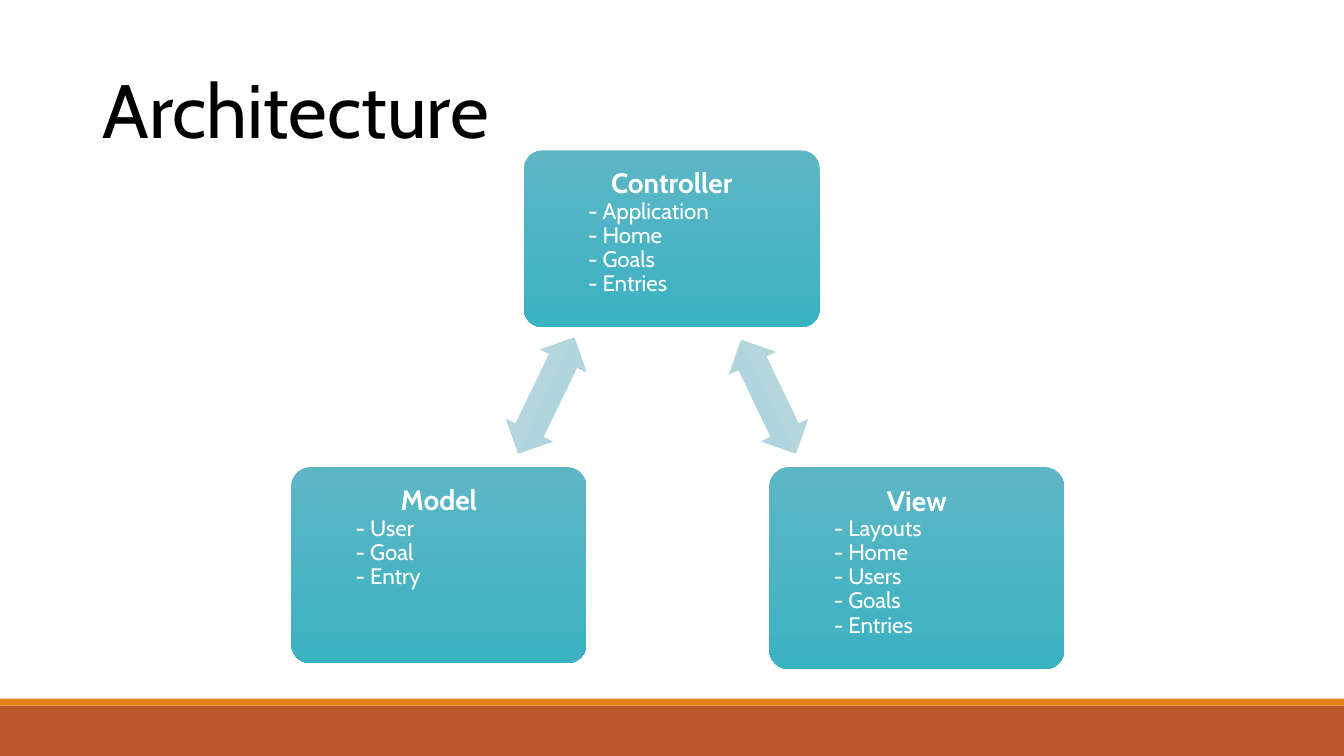
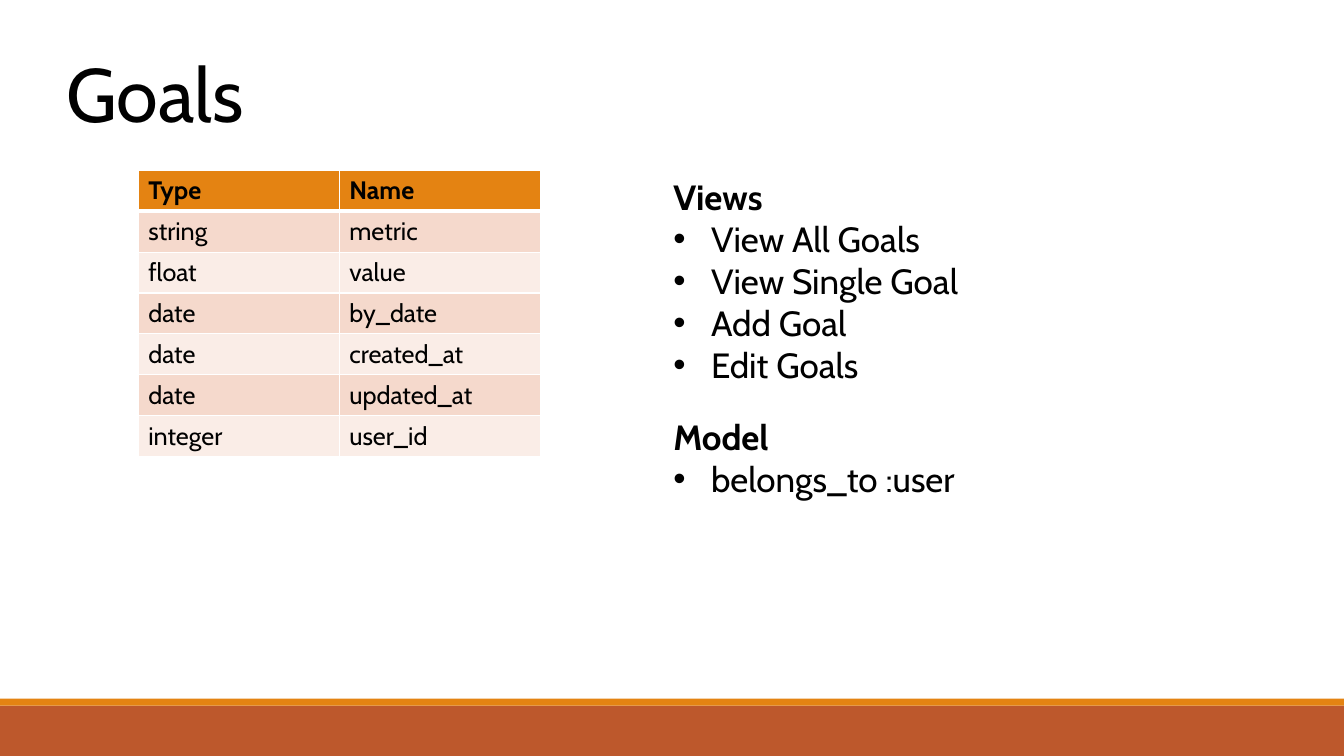
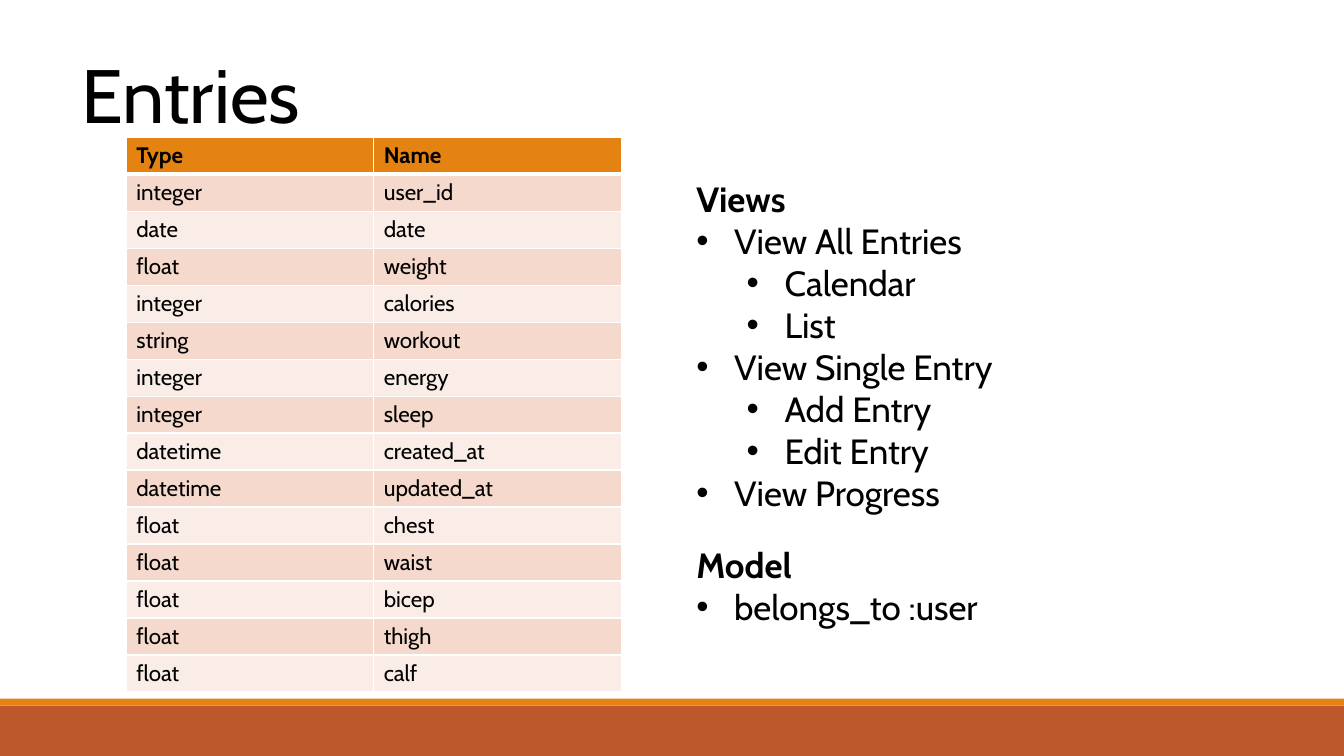
from dataclasses import dataclass
from typing import NamedTuple

from lxml import etree
from pptx import Presentation
from pptx.dml.color import RGBColor
from pptx.enum.shapes import MSO_SHAPE
from pptx.enum.text import MSO_ANCHOR, PP_ALIGN
from pptx.oxml.ns import qn
from pptx.util import Pt

RECTANGLE = MSO_SHAPE.RECTANGLE
ROUNDED = MSO_SHAPE.ROUNDED_RECTANGLE
DOUBLE_ARROW = MSO_SHAPE.LEFT_RIGHT_ARROW
TOP, MIDDLE = MSO_ANCHOR.TOP, MSO_ANCHOR.MIDDLE
LEFT, CENTER = PP_ALIGN.LEFT, PP_ALIGN.CENTER
TITLE_ONLY = 5


class Box(NamedTuple):
    left: float
    top: float
    width: float
    height: float

    def points(self):
        return [Pt(length) for length in self]


@dataclass(frozen=True)
class Theme:
    font: str = "Cabin"
    ink: str = "000000"
    paper: str = "FFFFFF"
    rust: str = "BD582C"
    orange: str = "E48312"
    stripes: tuple = ("F5D9CC", "FAEDE7")
    card: tuple = ("5EB6C5", "3BB2C2")
    arrow: tuple = ("B9D8DF", "ACD3DB")
    title_size: float = 54
    outline_size: float = 25
    card_heading_size: float = 20
    card_item_size: float = 16
    tight: float = 0.9
    card_indent: float = 36
    bullet_indent: float = 27
    level_step: float = 36
    section_gap: float = 21.5
    rule: float = 1
    header_rule: float = 3


THEME = Theme()
PAGE = Box(0, 0, 960, 540)
TITLE_WIDTH, TITLE_HEIGHT = 828, 104.4
CARD_WIDTH = 211


def rgb(value):
    return RGBColor.from_string(value)


def format_text(paragraph, size, color=THEME.ink, bold=False):
    for run in paragraph.runs:
        run.font.name = THEME.font
        run.font.size = Pt(size)
        run.font.bold = bold
        run.font.color.rgb = rgb(color)


def indent(paragraph, margin, hanging=0):
    properties = paragraph._p.get_or_add_pPr()
    properties.set("marL", str(Pt(margin)))
    properties.set("indent", str(Pt(-hanging)))
    return properties


def add_bullet(paragraph, level):
    paragraph.level = level
    margin = THEME.bullet_indent + level * THEME.level_step
    properties = indent(paragraph, margin, THEME.bullet_indent)
    etree.SubElement(properties, qn("a:buFont")).set("typeface", "Arial")
    etree.SubElement(properties, qn("a:buChar")).set("char", "•")


def add_plain_shape(slide, preset, box):
    shape = slide.shapes.add_shape(preset, *box.points())
    shape.shadow.inherit = False
    shape.line.fill.background()
    return shape


def fill_downward(shape, colors):
    shape.fill.gradient()
    shape.fill.gradient_angle = 270
    for stop, color in zip(shape.fill.gradient_stops, colors):
        stop.color.rgb = rgb(color)


def add_footer_bands(slide):
    bands = ((THEME.rust, Box(0, 504, PAGE.width, 36)),
             (THEME.orange, Box(0, 499, PAGE.width, 5)))
    for color, box in bands:
        band = add_plain_shape(slide, RECTANGLE, box)
        band.fill.solid()
        band.fill.fore_color.rgb = rgb(color)


def add_titled_slide(deck, heading, left, top):
    slide = deck.slides.add_slide(deck.slide_layouts[TITLE_ONLY])
    add_footer_bands(slide)
    title = slide.shapes.title
    title.left, title.top, title.width, title.height = Box(
        left, top, TITLE_WIDTH, TITLE_HEIGHT).points()
    frame = title.text_frame
    frame.text = heading
    frame.vertical_anchor = MIDDLE
    frame.word_wrap = True
    line = frame.paragraphs[0]
    line.alignment = LEFT
    line.line_spacing = THEME.tight
    format_text(line, THEME.title_size)
    return slide


def add_card(slide, box, heading, items):
    card = add_plain_shape(slide, ROUNDED, box)
    card.adjustments[0] = 0.1
    fill_downward(card, THEME.card)
    frame = card.text_frame
    frame.word_wrap = True
    frame.vertical_anchor = TOP
    frame.margin_left = frame.margin_right = Pt(6)
    frame.margin_top = frame.margin_bottom = Pt(10)
    frame.text = "\n".join([heading, *(f"- {item}" for item in items)])
    heading_line, *item_lines = frame.paragraphs
    heading_line.alignment = CENTER
    heading_line.line_spacing = THEME.tight
    format_text(heading_line, THEME.card_heading_size, THEME.paper, True)
    for line in item_lines:
        line.level = 1
        line.alignment = LEFT
        line.line_spacing = THEME.tight
        indent(line, THEME.card_indent)
        format_text(line, THEME.card_item_size, THEME.paper)


def add_exchange_arrow(slide, box, rotation):
    arrow = add_plain_shape(slide, DOUBLE_ARROW, box)
    arrow.adjustments[0] = 0.6
    arrow.adjustments[1] = 0.5
    arrow.rotation = rotation
    fill_downward(arrow, THEME.arrow)


def set_borders(cell, top, bottom):
    properties = cell._tc.get_or_add_tcPr()
    widths = {"L": THEME.rule, "R": THEME.rule, "T": top, "B": bottom}
    for side, width in widths.items():
        border = etree.SubElement(properties, qn(f"a:ln{side}"), w=str(Pt(width)))
        fill = etree.SubElement(border, qn("a:solidFill"))
        etree.SubElement(fill, qn("a:srgbClr"), val=THEME.paper)


def add_field_table(slide, box, fields, size):
    rows = [("Type", "Name"), *fields]
    table = slide.shapes.add_table(len(rows), 2, *box.points()).table
    for column in table.columns:
        column.width = Pt(box.width / 2)
    for index, values in enumerate(rows):
        is_header = index == 0
        table.rows[index].height = Pt(box.height / len(rows))
        color = THEME.orange if is_header else THEME.stripes[(index - 1) % 2]
        top = THEME.header_rule if index == 1 else THEME.rule
        bottom = THEME.header_rule if is_header else THEME.rule
        for column, value in enumerate(values):
            cell = table.cell(index, column)
            set_borders(cell, top, bottom)
            cell.fill.solid()
            cell.fill.fore_color.rgb = rgb(color)
            cell.text_frame.text = value
            format_text(cell.text_frame.paragraphs[0], size, bold=is_header)


def add_outline(slide, box, sections):
    frame = slide.shapes.add_textbox(*box.points()).text_frame
    frame.word_wrap = True
    entries = []
    for heading, items in sections:
        entries += [(heading, None), *items]
    frame.text = "\n".join(text for text, _ in entries)
    for index, (line, (_, level)) in enumerate(zip(frame.paragraphs, entries)):
        is_heading = level is None
        if not is_heading:
            add_bullet(line, level)
        elif index:
            line.space_before = Pt(THEME.section_gap)
        format_text(line, THEME.outline_size, bold=is_heading)


def build_architecture(deck):
    slide = add_titled_slide(deck, "Architecture", 66, 29)
    add_card(slide, Box(374.4, 107.5, CARD_WIDTH, 126), "Controller",
             ["Application", "Home", "Goals", "Entries"])
    add_exchange_arrow(slide, Box(504, 265, 90, 36.7), 64.3)
    add_card(slide, Box(549.4, 333.5, CARD_WIDTH, 144.7), "View",
             ["Layouts", "Home", "Users", "Goals", "Entries"])
    add_card(slide, Box(208, 333.5, CARD_WIDTH, 140.4), "Model",
             ["User", "Goal", "Entry"])
    add_exchange_arrow(slide, Box(344.2, 264.2, 92, 36.7), 295.8)


def build_goals(deck):
    slide = add_titled_slide(deck, "Goals", 40.3, 18)
    add_outline(slide, Box(473.8, 121.7, 423.4, 247), [
        ("Views", [("View All Goals", 0), ("View Single Goal", 0),
                   ("Add Goal", 0), ("Edit Goals", 0)]),
        ("Model", [("belongs_to :user", 0)]),
    ])
    add_field_table(slide, Box(98.8, 121.7, 287.2, 204.4), [
        ("string", "metric"), ("float", "value"), ("date", "by_date"),
        ("date", "created_at"), ("date", "updated_at"),
        ("integer", "user_id"),
    ], 18)


def build_entries(deck):
    slide = add_titled_slide(deck, "Entries", 51.1, 18.7)
    add_outline(slide, Box(490.3, 123.1, 388.8, 369.4), [
        ("Views", [("View All Entries", 0), ("Calendar", 1), ("List", 1),
                   ("View Single Entry", 0), ("Add Entry", 1),
                   ("Edit Entry", 1), ("View Progress", 0)]),
        ("Model", [("belongs_to :user", 0)]),
    ])
    add_field_table(slide, Box(90.2, 98, 353.6, 396), [
        ("integer", "user_id"), ("date", "date"), ("float", "weight"),
        ("integer", "calories"), ("string", "workout"),
        ("integer", "energy"), ("integer", "sleep"),
        ("datetime", "created_at"), ("datetime", "updated_at"),
        ("float", "chest"), ("float", "waist"), ("float", "bicep"),
        ("float", "thigh"), ("float", "calf"),
    ], 16)


def main():
    deck = Presentation()
    deck.slide_width, deck.slide_height = Pt(PAGE.width), Pt(PAGE.height)
    for build in (build_architecture, build_goals, build_entries):
        build(deck)
    deck.save("out.pptx")


if __name__ == "__main__":
    main()
